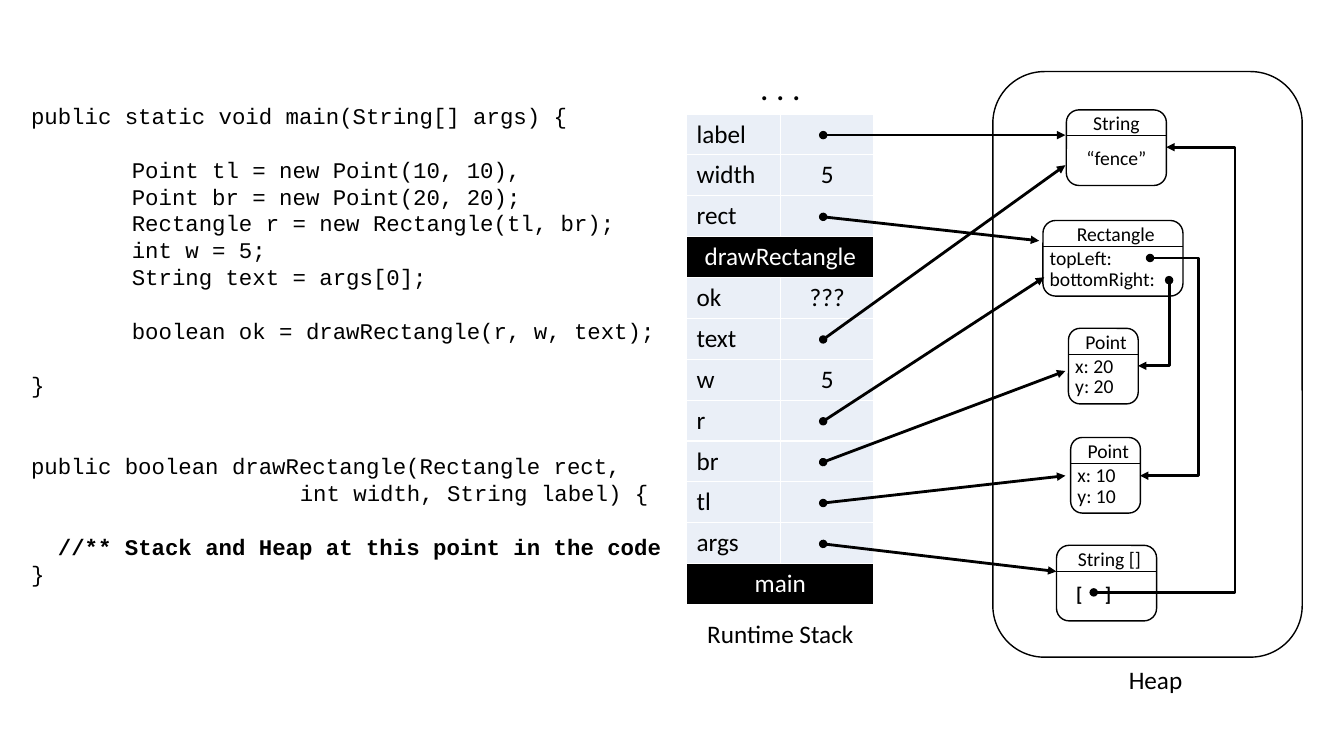
from lxml.etree import SubElement
from pptx import Presentation
from pptx.dml.color import RGBColor
from pptx.enum.shapes import MSO_CONNECTOR, MSO_SHAPE
from pptx.enum.text import MSO_ANCHOR, PP_ALIGN
from pptx.oxml.ns import qn
from pptx.util import Pt

BLACK, WHITE, CELL = "000000", "FFFFFF", "EAEFF7"
ROW_H, COL_W = 29.2, 67

# (variable, value); a value of None is a pointer, a name without value a frame
STACK = [("label", None), ("width", "5"), ("rect", None), ("drawRectangle",),
         ("ok", "???"), ("text", None), ("w", "5"), ("r", None),
         ("br", None), ("tl", None), ("args", None), ("main",)]

# (blank lines above, indent in points, bold, text)
CODE = [
    (0, 0, False, "public static void main(String[] args) {"),
    (1, 72, False, "Point tl = new Point(10, 10),"),
    (0, 72, False, "Point br = new Point(20, 20);"),
    (0, 72, False, "Rectangle r = new Rectangle(tl, br);"),
    (0, 72, False, "int w = 5;"),
    (0, 72, False, "String text = args[0];"),
    (1, 72, False, "boolean ok = drawRectangle(r, w, text);"),
    (1, 0, False, "}"),
    (2, 0, False, "public boolean drawRectangle(Rectangle rect,"),
    (0, 192, False, "int width, String label) {"),
    (1, 19.2, True, "//** Stack and Heap at this point in the code"),
    (0, 0, False, "}"),
]


def rgb(color):
    return RGBColor.from_string(color)


def add_run(p, text, size, color=BLACK, font="Calibri", bold=False):
    r = p.add_run()
    r.text = text
    r.font.size, r.font.name, r.font.bold = Pt(size), font, bold
    r.font.color.rgb = rgb(color)


def label(s, x, y, w, h, text, size=14, bold=False, align=PP_ALIGN.LEFT):
    tf = s.shapes.add_textbox(Pt(x), Pt(y), Pt(w), Pt(h)).text_frame
    tf.word_wrap = True
    p = tf.paragraphs[0]
    p.alignment = align
    add_run(p, text, size, bold=bold)


def rounded_box(s, x, y, w, h):
    sp = s.shapes.add_shape(MSO_SHAPE.ROUNDED_RECTANGLE, Pt(x), Pt(y), Pt(w), Pt(h))
    sp.shadow.inherit = False
    sp.fill.background()
    sp.line.color.rgb = rgb(BLACK)
    sp.line.width = Pt(1)


def line(s, x1, y1, x2, y2, width=2, kind=MSO_CONNECTOR.STRAIGHT):
    cx = s.shapes.add_connector(kind, Pt(x1), Pt(y1), Pt(x2), Pt(y2))
    cx.line.color.rgb = rgb(BLACK)
    cx.line.width = Pt(width)
    SubElement(cx._element.spPr, qn("a:effectLst"))
    return cx


def add_ends(cx):
    """Start the connector with a dot and end it with an arrowhead."""
    ln = cx.line._get_or_add_ln()
    SubElement(ln, qn("a:headEnd"), type="oval")
    SubElement(ln, qn("a:tailEnd"), type="triangle")


def elbow(s, x1, y1, x2, y2, preset, rotation=0, adjust=()):
    """Bent arrow; the corners are those of its frame before rotation."""
    cx = line(s, x1, y1, x2, y2, kind=MSO_CONNECTOR.ELBOW)
    add_ends(cx)
    pr = cx._element.spPr
    if rotation:
        pr.find(qn("a:xfrm")).set("rot", str(rotation * 60000))
    geom = pr.find(qn("a:prstGeom"))
    geom.set("prst", preset)
    guides = geom.find(qn("a:avLst"))
    if guides is None:
        guides = SubElement(geom, qn("a:avLst"))
    for i, value in enumerate(adjust, 1):
        name = "adj" if preset == "bentConnector2" else f"adj{i}"
        SubElement(guides, qn("a:gd"), name=name, fmla=f"val {round(value * 100000)}")


def code_listing(s, x, y, w, h, pitch=19.25):
    tf = s.shapes.add_textbox(Pt(x), Pt(y), Pt(w), Pt(h)).text_frame
    tf.word_wrap = True
    for i, (blank, indent, bold, text) in enumerate(CODE):
        p = tf.paragraphs[0] if i == 0 else tf.add_paragraph()
        p.line_spacing = Pt(pitch)
        p.space_before = Pt(blank * pitch)
        p._p.get_or_add_pPr().set("marL", str(Pt(indent)))
        add_run(p, text, 16, font="Courier New", bold=bold)


def white_borders(cell):
    tc_pr = cell._tc.get_or_add_tcPr()
    for i, side in enumerate(("lnL", "lnR", "lnT", "lnB")):
        ln = tc_pr.makeelement(qn(f"a:{side}"), {"w": str(Pt(1))})
        SubElement(SubElement(ln, qn("a:solidFill")), qn("a:srgbClr"), val=WHITE)
        tc_pr.insert(i, ln)


def runtime_stack(s, x, y):
    """Draw the stack and return the place of each pointer by variable name."""
    table = s.shapes.add_table(len(STACK), 2, Pt(x), Pt(y), Pt(2 * COL_W),
                               Pt(len(STACK) * ROW_H)).table
    table.first_row = table.horz_banding = False
    for col in table.columns:
        col.width = Pt(COL_W)
    pointers = {}
    for i, entry in enumerate(STACK):
        table.rows[i].height = Pt(ROW_H)
        is_frame = len(entry) == 1
        if is_frame:
            table.cell(i, 0).merge(table.cell(i, 1))
        for j in range(2):
            cell = table.cell(i, j)
            cell.fill.solid()
            cell.fill.fore_color.rgb = rgb(BLACK if is_frame else CELL)
            cell.vertical_anchor = MSO_ANCHOR.MIDDLE
            white_borders(cell)
            p = cell.text_frame.paragraphs[0]
            p.font.size = Pt(18)
            if j < len(entry) and entry[j]:
                p.alignment = PP_ALIGN.CENTER if is_frame or j else PP_ALIGN.LEFT
                add_run(p, entry[j], 18, WHITE if is_frame else BLACK)
        if entry[-1] is None:
            pointers[entry[0]] = (x + 97.6, y + (i + 0.5) * ROW_H + 0.5)
    label(s, x, y - 36.8, 2 * COL_W, 36, ". . .", 24, align=PP_ALIGN.CENTER)
    label(s, x, y + 357, 2 * COL_W, 29, "Runtime Stack", 18, align=PP_ALIGN.CENTER)
    return pointers


def heap_object(s, x, y, w, title, fields=(), shift=2):
    """Titled box with one line per field; shift moves the title right."""
    rounded_box(s, x, y, w, 54)
    label(s, x + shift - 10, y - 2.5, w + 20, 24.2, title, align=PP_ALIGN.CENTER)
    line(s, x, y + 18.5, x + w, y + 18.5, 0.5)
    for i, field in enumerate(fields):
        label(s, x - 2.3, y + 14.5 + 14.8 * i, w + 8, 24.2, field)


def heap(s, x, y, w, h):
    rounded_box(s, x, y, w, h)
    label(s, x + 90, y + h + 1.6, 53.3, 29, "Heap", 18)
    heap_object(s, x + 52.5, y + 27.4, 71.5, "String", shift=0)
    label(s, x + 59.6, y + 49.8, 57.5, 24.2, "“fence”", align=PP_ALIGN.CENTER)
    heap_object(s, x + 35.8, y + 106.4, 100, "Rectangle", ("topLeft:", "bottomRight:"))
    heap_object(s, x + 54, y + 183.4, 49.8, "Point", ("x: 20", "y: 20"))
    heap_object(s, x + 55.6, y + 261.4, 49.8, "Point", ("x: 10", "y: 10"))
    heap_object(s, x + 45.5, y + 338.4, 71.5, "String []")
    for dx, bracket in ((52.4, "["), (73, "]")):
        label(s, x + dx, y + 360.7, 20, 24.2, bracket, bold=True)
    elbow(s, x + 112.3, y + 133.2, x + 105.1, y + 288.7, "bentConnector3",
          adjust=(-4.82,))
    elbow(s, x + 84.2, y + 168.5, x + 145.4, y + 190.7, "bentConnector2", 90)
    elbow(s, x + 256.9, y + 239, x - 61.1, y + 187.2, "bentConnector4", 90,
          (0, 1.95))


def main():
    prs = Presentation()
    prs.slide_width, prs.slide_height = Pt(960), Pt(540)
    s = prs.slides.add_slide(prs.slide_layouts[6])
    pointers = runtime_stack(s, 490.4, 81.4)
    heap(s, 709.2, 51.1, 221, 418.3)
    code_listing(s, 15.1, 69.1, 480.2, 356.4)
    targets = {"label": (761, 96.5), "rect": (742.3, 172), "r": (745.9, 198),
               "text": (761, 118), "br": (761, 265), "tl": (761, 339.8),
               "args": (754.6, 408.2)}
    for name, target in targets.items():
        add_ends(line(s, *pointers[name], *target))
    prs.save("out.pptx")


if __name__ == "__main__":
    main()
